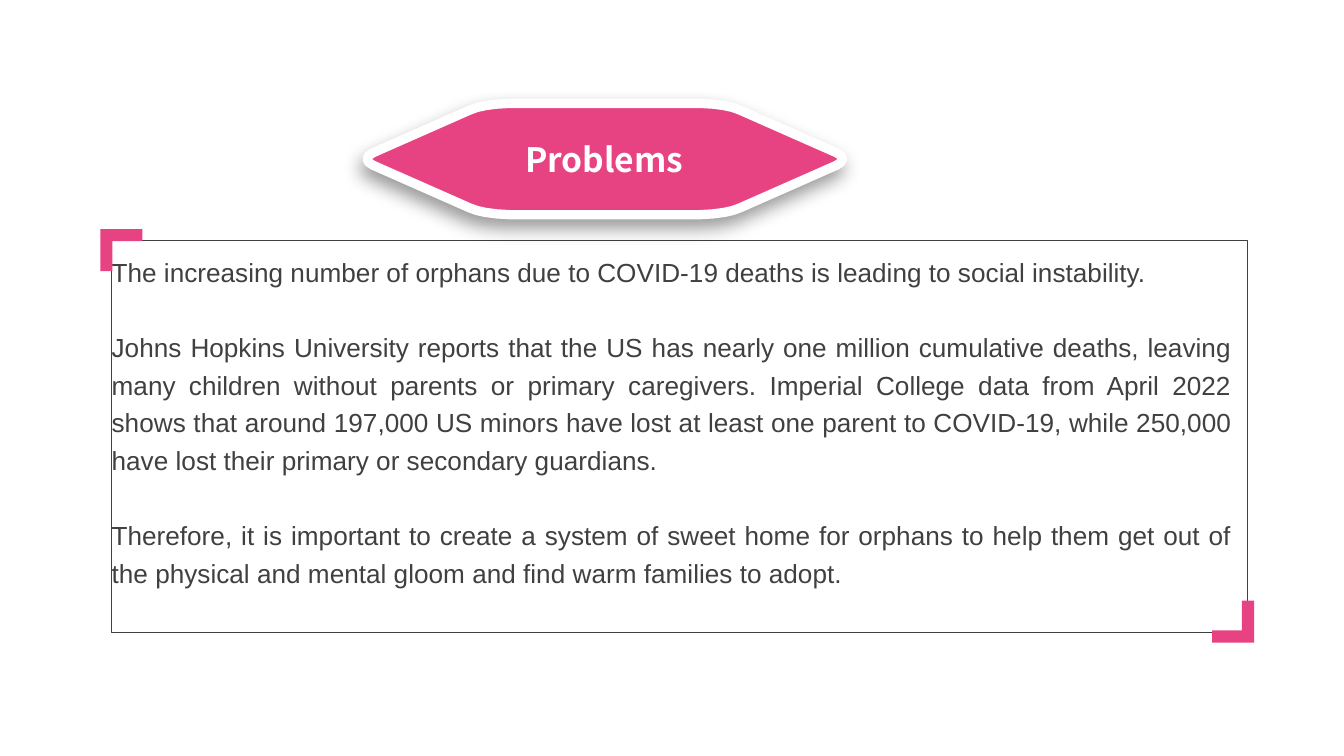
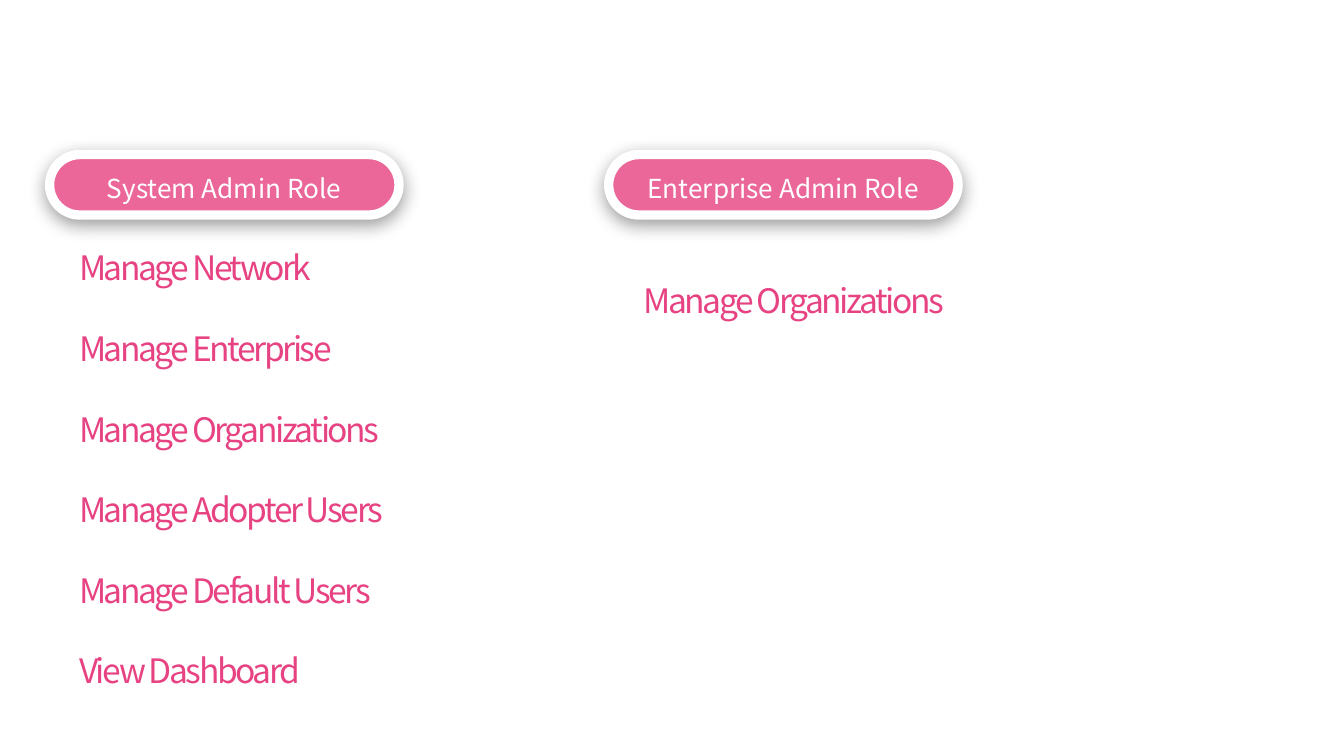
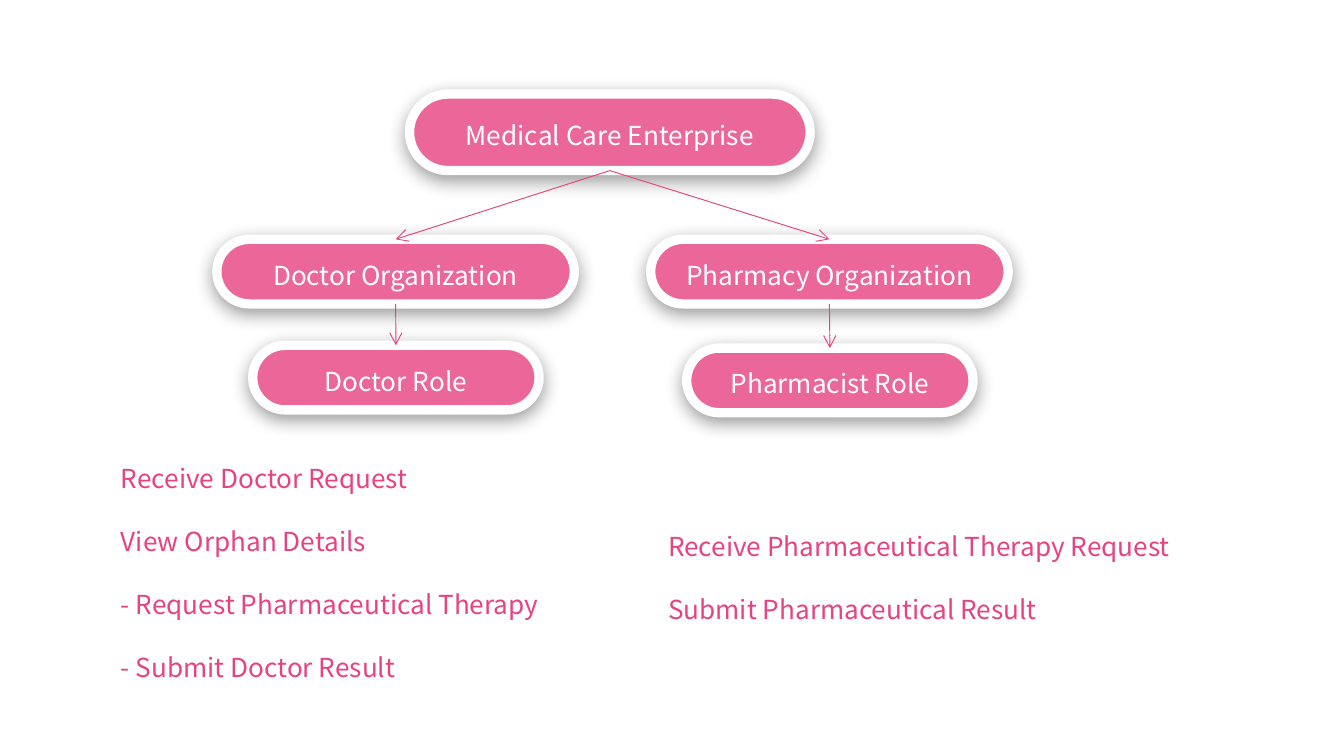
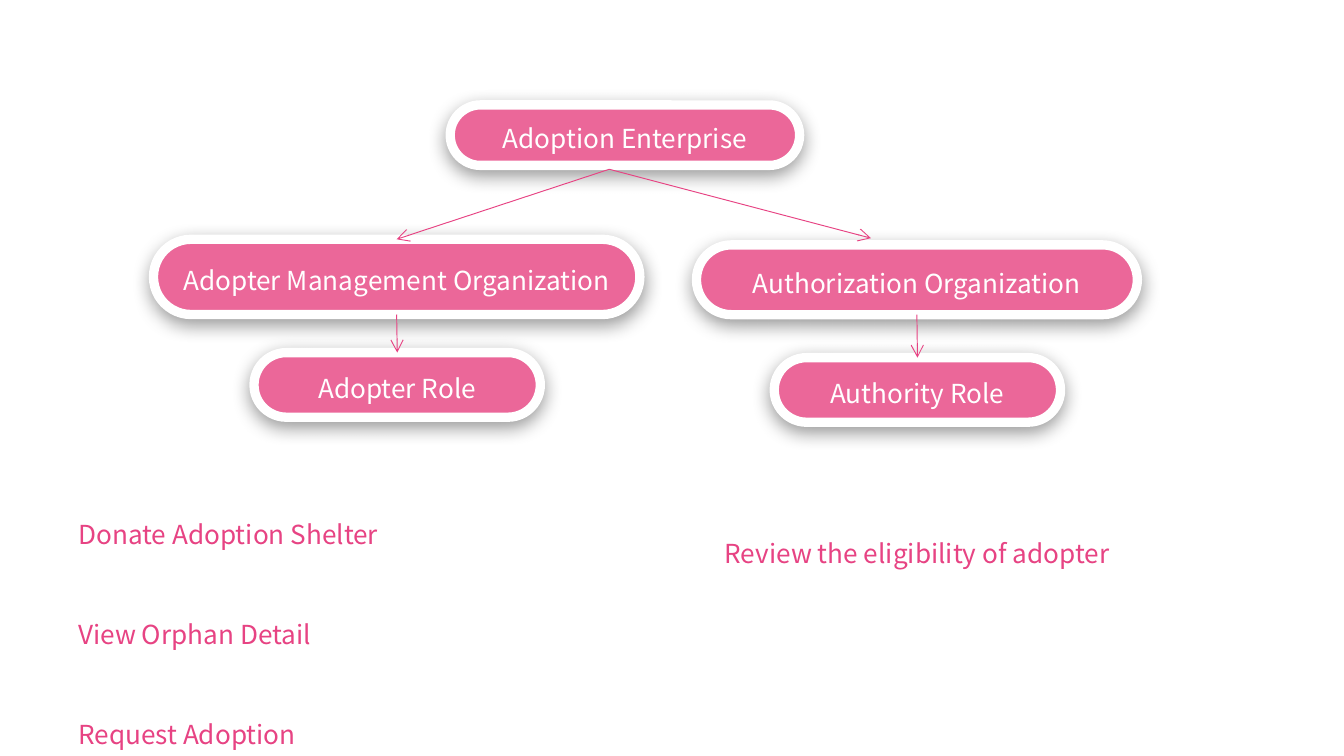
import dataclasses

import pptx
import pptx.dml.color
import pptx.enum.dml
import pptx.enum.shapes
import pptx.enum.text
import pptx.oxml
import pptx.oxml.ns
import pptx.util

Pt = pptx.util.Pt
Align = pptx.enum.text.PP_ALIGN
Anchor = pptx.enum.text.MSO_ANCHOR
Fit = pptx.enum.text.MSO_AUTO_SIZE
Kind = pptx.enum.shapes.MSO_SHAPE
NS = pptx.oxml.ns.nsdecls("a")


@dataclasses.dataclass(frozen=True)
class Theme:
    pink = pptx.dml.color.RGBColor.from_string("E74383")
    rose = pptx.dml.color.RGBColor.from_string("EB6799")
    white = pptx.dml.color.RGBColor.from_string("FFFFFF")
    gray = pptx.dml.color.RGBColor.from_string("404040")
    head = {"name": "Noto Sans CJK SC", "size": Pt(18), "bold": True}
    item = {"name": "Noto Sans CJK SC", "size": Pt(18)}
    label = {"name": "Noto Sans CJK SC", "size": Pt(14)}
    body = {"name": "Arial", "size": Pt(14)}
    rim = Pt(5)
    thin = Pt(0.5)
    tight = "-130"


theme = Theme()
flush = {"margin_left": 0, "margin_top": 0, "margin_right": 0,
         "margin_bottom": 0, "word_wrap": True,
         "auto_size": Fit.SHAPE_TO_FIT_TEXT, "vertical_anchor": Anchor.TOP}
inset = {"margin_left": Pt(5), "margin_top": Pt(2.5), "margin_right": Pt(5),
         "margin_bottom": Pt(2.5), "word_wrap": True,
         "vertical_anchor": Anchor.MIDDLE}
loose = {"word_wrap": True, "auto_size": Fit.SHAPE_TO_FIT_TEXT}


def write(frame, lines, look, face, tint, form):
    """Fill a text frame; look, face and form format frame, run and paragraph."""
    for key, value in look.items():
        setattr(frame, key, value)
    for place, line in enumerate(lines):
        para = frame.add_paragraph() if place else frame.paragraphs[0]
        for key, value in form.items():
            setattr(para, key, value)
        run = para.add_run()
        run.text = line
        run.font.color.rgb = tint
        for key, value in face.items():
            setattr(run.font, key, value)


def lift(shape, fill, drop=3, angle=90):
    """Give a shape its fill, white rim and soft shadow."""
    shape.fill.solid()
    shape.fill.fore_color.rgb = fill
    shape.line.color.rgb = theme.white
    shape.line.width = theme.rim
    shape.shadow.inherit = False
    glow = shape._element.spPr.find(pptx.oxml.ns.qn("a:effectLst"))
    glow.append(pptx.oxml.parse_xml(
        f'<a:outerShdw {NS} blurRad="{Pt(10)}" dist="{Pt(drop)}" '
        f'dir="{angle * 60000}" algn="ctr" rotWithShape="0">'
        '<a:srgbClr val="000000"><a:alpha val="40000"/></a:srgbClr>'
        '</a:outerShdw>'))


deck = pptx.Presentation()
deck.slide_width, deck.slide_height = Pt(720), Pt(405)

# Problems
slide = deck.slides.add_slide(deck.slide_layouts[5])
panel = slide.shapes.add_shape(Kind.ROUNDED_RECTANGLE,
                               Pt(59.8), Pt(128.9), Pt(608.4), Pt(209.8))
panel.adjustments[0] = 0
panel.fill.background()
panel.line.color.rgb = theme.gray
panel.line.width = Pt(0.25)
panel.shadow.inherit = False

story = slide.shapes.add_textbox(Pt(59.8), Pt(133.9), Pt(600.4), Pt(258.5))
write(story.text_frame, [
    "The increasing number of orphans due to COVID-19 deaths is leading to "
    "social instability.",
    "Johns Hopkins University reports that the US has nearly one million "
    "cumulative deaths, leaving many children without parents or primary "
    "caregivers. Imperial College data from April 2022 shows that around "
    "197,000 US minors have lost at least one parent to COVID-19, while "
    "250,000 have lost their primary or secondary guardians. ",
    "Therefore, it is important to create a system of sweet home for orphans "
    "to help them get out of the physical and mental gloom and find warm "
    "families to adopt.",
], flush, theme.body, theme.gray,
    {"alignment": Align.JUSTIFY, "line_spacing": 1.2, "space_after": Pt(20.1)})

arm, bar = 22.5, 6.5
hook = [(0, 0), (arm, 0), (arm, bar), (bar, bar), (bar, arm), (0, arm)]
for left, top, sign in [(53.8, 122.7, 1), (671.9, 344.3, -1)]:
    dots = [(Pt(left + sign * x), Pt(top + sign * y)) for x, y in hook]
    pen = slide.shapes.build_freeform(*dots[0])
    pen.add_line_segments(dots[1:])
    corner = pen.convert_to_shape()
    corner.fill.solid()
    corner.fill.fore_color.rgb = theme.pink
    corner.line.fill.background()
    corner.shadow.inherit = False

# The badge outline is one quarter, mirrored around its centre
arc = [(51.2, -29.8), (58, -29.4), (64, -28.6), (68.5, -27.6),
       (72.4, -26.2), (124, -3.4), (126.5, -1.8), (127.4, 0)]
half = arc + [(x, -y) for x, y in reversed(arc[:-1])]
ring = half + [(-x, -y) for x, y in half]
dots = [(Pt(324 + x), Pt(85.2 + y)) for x, y in ring]
pen = slide.shapes.build_freeform(*dots[0])
pen.add_line_segments(dots[1:])
badge = pen.convert_to_shape()
lift(badge, theme.pink, 5, 110)

title = slide.shapes.title
spot = {"left": Pt(275.8), "top": Pt(74.2),
        "width": Pt(95.8), "height": Pt(21.6)}
for key, value in spot.items():
    setattr(title, key, value)
write(title.text_frame, ["Problems"], flush, theme.head, theme.white,
      {"alignment": Align.CENTER})
badge._element.addnext(title._element)

# Roles and enterprises: pills (left, top, width, height), arrows, lists
double = {"line_spacing": 2.0}
fixed = {"line_spacing": Pt(53.4)}
pages = [
    {
        "pills": {
            "System Admin Role": (26.6, 82.8, 187.2, 32.4),
            "Enterprise Admin Role": (326.1, 82.8, 187.2, 32.4),
        },
        "arrows": [],
        "lists": [
            ((35.3, 128.9, 239.8, 290.9), loose, theme.item,
             {"space_after": Pt(21.6)},
             ["Manage Network", "Manage Enterprise", "Manage Organizations",
              "Manage Adopter Users", "Manage Default Users",
              "View Dashboard"]),
            ((337.7, 146.2, 187.2, 28.8), {**loose, "word_wrap": False},
             theme.item, {}, ["Manage Organizations"]),
        ],
    },
    {
        "pills": {
            "Medical Care Enterprise": (219.4, 50.4, 214.6, 41),
            "Doctor Organization": (116.2, 128.2, 191.5, 34.6),
            "Doctor Role": (135.4, 185, 153.4, 34.6),
            "Pharmacy Organization": (348.6, 128.2, 191.5, 34.6),
            "Pharmacist Role": (367.9, 186.5, 153.4, 34.6),
        },
        "arrows": [
            ("Medical Care Enterprise", "Doctor Organization"),
            ("Medical Care Enterprise", "Pharmacy Organization"),
            ("Doctor Organization", "Doctor Role"),
            ("Pharmacy Organization", "Pharmacist Role"),
        ],
        "lists": [
            ((64.8, 231.1, 308.9, 130.3), flush, theme.label, double,
             ["Receive Doctor Request", "View Orphan Details",
              "- Request Pharmaceutical Therapy", "- Submit Doctor Result"]),
            ((357.9, 247.7, 331.2, 82.1), flush, theme.label, double,
             ["Receive Pharmaceutical Therapy Request",
              "Submit Pharmaceutical Result"]),
        ],
    },
    {
        "pills": {
            "Adoption Enterprise": (241.2, 56.2, 187.2, 32.4),
            "Adopter Management Organization": (82.2, 128.2, 260.6, 40.3),
            "Adopter Role": (136.1, 188.9, 153.4, 34.6),
            "Authorization Organization": (373.1, 131.2, 236.2, 37.4),
            "Authority Role": (414.8, 191.6, 153.4, 34.6),
        },
        "arrows": [
            ((326.4, 90.7), "Adopter Management Organization"),
            ((326.4, 90.7), (466.6, 127.6)),
            ("Adopter Management Organization", "Adopter Role"),
            ("Authorization Organization", "Authority Role"),
        ],
        "lists": [
            ((41.9, 241.2, 308.9, 150.5), flush, theme.label, fixed,
             ["Donate Adoption Shelter", "View Orphan Detail",
              "Request Adoption"]),
            ((388.2, 251.3, 299.5, 43.2), flush, theme.label, fixed,
             ["Review the eligibility of adopter"]),
        ],
    },
]

for page in pages:
    slide = deck.slides.add_slide(deck.slide_layouts[6])
    pills = {}
    for name, box in page["pills"].items():
        pill = slide.shapes.add_shape(Kind.ROUNDED_RECTANGLE, *map(Pt, box))
        pill.adjustments[0] = 0.5
        lift(pill, theme.rose)
        write(pill.text_frame, [name], inset, theme.label, theme.white,
              {"alignment": Align.CENTER, "line_spacing": 1.2})
        pills[name] = pill

    for start, end in page["arrows"]:
        head = (0, 0) if start in pills else start
        tail = (0, 0) if end in pills else end
        arrow = slide.shapes.add_connector(
            pptx.enum.shapes.MSO_CONNECTOR.STRAIGHT, *map(Pt, head + tail))
        if start in pills:
            arrow.begin_connect(pills[start], 2)
        if end in pills:
            arrow.end_connect(pills[end], 0)
        arrow.line.color.rgb = theme.pink
        arrow.line.width = theme.thin
        arrow.line._get_or_add_ln().append(
            pptx.oxml.parse_xml(f'<a:tailEnd {NS} type="arrow"/>'))
        arrow._element.spPr.append(
            pptx.oxml.parse_xml(f"<a:effectLst {NS}/>"))

    for box, look, face, form, lines in page["lists"]:
        note = slide.shapes.add_textbox(*map(Pt, box))
        write(note.text_frame, lines, look, face, theme.pink, form)
        for para in note.text_frame.paragraphs:
            if face is theme.item:
                para.runs[0].font._element.set("spc", theme.tight)
            elif lines[0].startswith("Receive Pharm") and para.text == lines[0]:
                para.line_spacing = fixed["line_spacing"]

deck.save("out.pptx")
